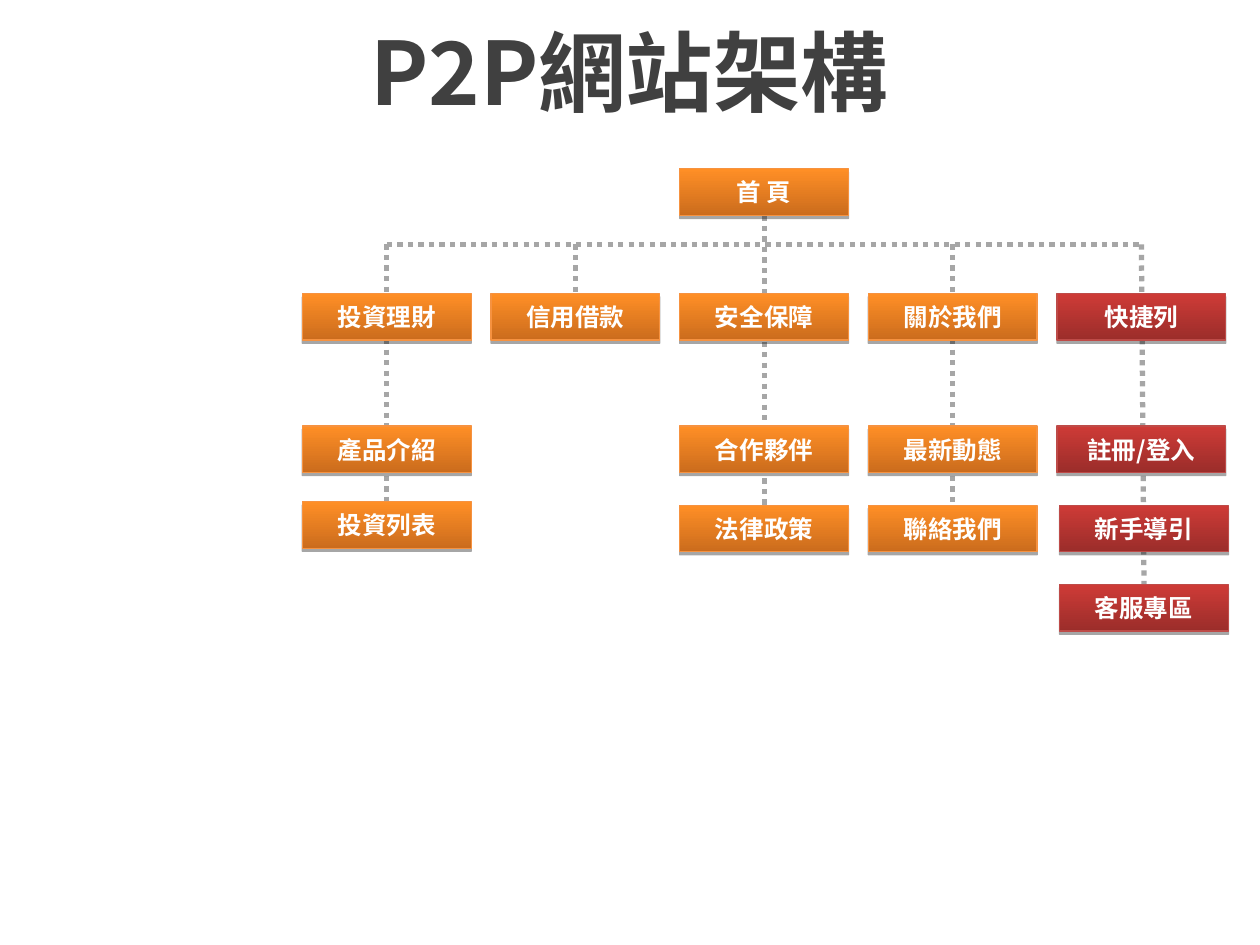
from lxml import etree
from pptx import Presentation
from pptx.dml.color import RGBColor
from pptx.enum import dml, shapes, text
from pptx.oxml import ns
from pptx.util import Pt

HUES = {
    "title": "404040", "text": "FFFFFF", "link": "A6A6A6", "shade": "000000",
    "orange": ("CB6C1D", "FF8F26", "F69240"),
    "red": ("9B2D2A", "CE3B37", "BE4B48"),
}
FACE = "Noto Sans CJK SC"
WIDE, HIGH = 96.5, 26.6
LEFT, STEP = 172.8, 107.8
BUS = 139.7
ROWS = [167.8, 243.4, 288.7, 334.1]
MENU = [
    ("orange", ["投資理財", "產品介紹", "投資列表"]),
    ("orange", ["信用借款"]),
    ("orange", ["安全保障", "合作夥伴", "法律政策"]),
    ("orange", ["關於我們", "最新動態", "聯絡我們"]),
    ("red", ["快捷列", "註冊/登入", "新手導引", "客服專區"]),
]
NUDGE = {"投資列表": (0, -2), "新手導引": (1.5, 0), "客服專區": (1.5, 0)}

deck = Presentation()
deck.slide_width, deck.slide_height = Pt(720), Pt(540)
slide = deck.slides.add_slide(deck.slide_layouts[6])


def write(shape, words, size, hue):
    frame = shape.text_frame
    frame.word_wrap = True
    frame.vertical_anchor = text.MSO_ANCHOR.MIDDLE
    para = frame.paragraphs[0]
    para.text = words
    para.alignment = text.PP_ALIGN.CENTER
    font = para.font
    font.size, font.bold, font.name = Pt(size), True, FACE
    font.color.rgb = RGBColor.from_string(hue)
    base = para._p.pPr.find(ns.qn("a:defRPr"))
    etree.SubElement(base, ns.qn("a:ea"), typeface=FACE)


def add_link(x1, y1, x2, y2):
    link = slide.shapes.add_connector(
        shapes.MSO_CONNECTOR.STRAIGHT, Pt(x1), Pt(y1), Pt(x2), Pt(y2))
    link.line.color.rgb = RGBColor.from_string(HUES["link"])
    link.line.width = Pt(3)
    link.line.dash_style = dml.MSO_LINE.ROUND_DOT
    etree.SubElement(link._element.spPr, ns.qn("a:effectLst"))
    return link


mids = [LEFT + STEP * col + WIDE / 2 for col in range(len(MENU))]
links = [add_link(mid, BUS, mid, ROWS[0]) for mid in mids]
add_link(mids[0], BUS, mids[-1], BUS)

title = slide.shapes.add_textbox(Pt(25.2), Pt(3.6), Pt(668.9), Pt(73.4))
write(title, "P2P網站架構", 50, HUES["title"])

cards = [("首 頁", "orange", 2, 96.5)]
for col, (tone, names) in enumerate(MENU):
    for name, top in zip(names, ROWS):
        cards.append((name, tone, col, top))

boxes = {}
for name, tone, col, top in cards:
    right, down = NUDGE.get(name, (0, 0))
    box = slide.shapes.add_shape(
        shapes.MSO_SHAPE.RECTANGLE, Pt(LEFT + STEP * col + right),
        Pt(top + down), Pt(WIDE), Pt(HIGH))
    dark, light, edge = HUES[tone]
    box.fill.gradient()
    box.fill.gradient_angle = 90
    for stop, hue in zip(box.fill.gradient_stops, (dark, light)):
        stop.color.rgb = RGBColor.from_string(hue)
    box.line.color.rgb = RGBColor.from_string(edge)
    box.line.width = Pt(0.75)
    box.shadow.inherit = False
    glow = box._element.spPr.find(ns.qn("a:effectLst"))
    cast = etree.SubElement(glow, ns.qn("a:outerShdw"), blurRad="0",
                            dist=str(Pt(1.8)), dir="5400000", rotWithShape="0")
    shade = etree.SubElement(cast, ns.qn("a:srgbClr"), val=HUES["shade"])
    etree.SubElement(shade, ns.qn("a:alpha"), val="35000")
    write(box, name, 14, HUES["text"])
    boxes[name] = box

for link, (tone, names) in zip(links, MENU):
    link.end_connect(boxes[names[-1]], 0)
links[2].begin_connect(boxes["首 頁"], 2)

deck.save("out.pptx")
